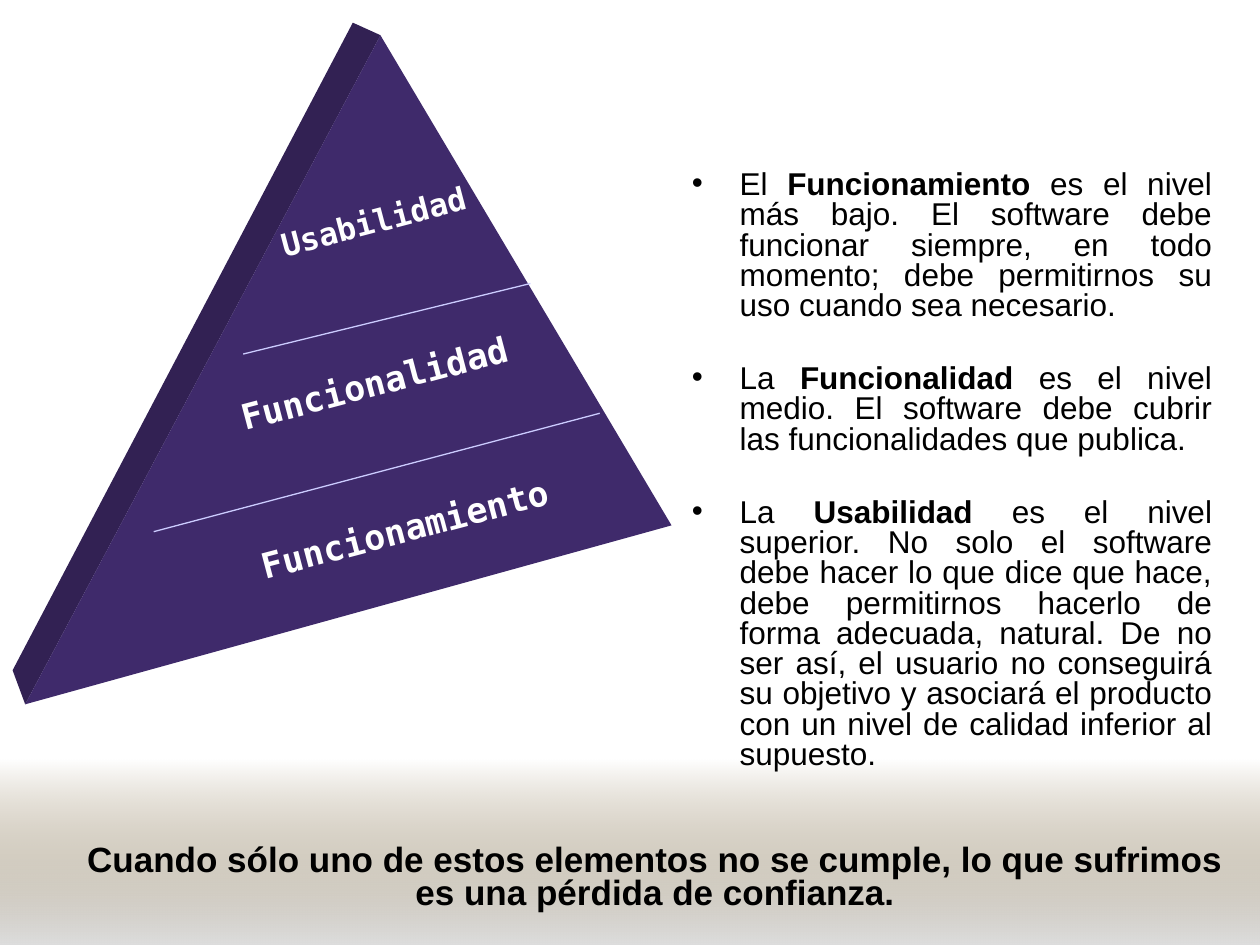
from lxml.etree import SubElement
from pptx import Presentation
from pptx.dml.color import RGBColor
from pptx.enum.shapes import MSO_CONNECTOR as CONNECTOR, MSO_SHAPE as SHAPE
from pptx.enum.text import MSO_ANCHOR as ANCHOR, MSO_AUTO_SIZE as AUTO_SIZE, PP_ALIGN as ALIGN
from pptx.oxml.ns import qn
from pptx.util import Inches, Pt

COLORS = {
    "text": "000000", "label": "FFFFFF", "front": "3F2A6B", "side": "322153",
    "divider": "CCCCFF", "band_top": "765E2F", "band_bottom": "DDDDDD",
}
BODY_FONT, LABEL_FONT = "Arial", "DejaVu Sans Mono"

# Each bullet: text before, bold term, text after
BULLETS = [
    ("El ", "Funcionamiento", " es el nivel más bajo. El software debe funcionar siempre, "
     "en todo momento; debe permitirnos su uso cuando sea necesario."),
    ("La ", "Funcionalidad", " es el nivel medio. El software debe cubrir las "
     "funcionalidades que publica."),
    ("La ", "Usabilidad", " es el nivel superior. No solo el software debe hacer lo que dice "
     "que hace, debe permitirnos hacerlo de forma adecuada, natural. De no ser así, el usuario "
     "no conseguirá su objetivo y asociará el producto con un nivel de calidad inferior al "
     "supuesto."),
]
CONCLUSION = ("Cuando sólo uno de estos elementos no se cumple, lo que sufrimos "
              "es una pérdida de confianza.")

# Pyramid geometry, in inches
APEX, RIGHT, LEFT = (3.02, 0.28), (5.33, 4.17), (0.2, 5.59)
BACK_APEX, BACK_LEFT = (2.8, 0.18), (0.1, 5.32)
FACES = [("side", [BACK_APEX, APEX, LEFT, BACK_LEFT]), ("front", [APEX, RIGHT, LEFT])]
DIVIDERS = [((1.22, 4.22), (4.76, 3.28)), ((1.93, 2.81), (4.21, 2.25))]
LABELS = [  # text, left, top, height, size
    ("Funcionamiento", 1.93, 3.91, 0.43, 20),
    ("Funcionalidad", 1.77, 2.73, 0.43, 20),
    ("Usabilidad", 2.09, 1.38, 0.4, 18),
]
LABEL_WIDTH, LABEL_ANGLE = 3.07, 345.2


def rgb(name):
    return RGBColor.from_string(COLORS[name])


def add_span(para, text, font, size, color, bold=False):
    span = para.add_run()
    span.text = text
    span.font.name, span.font.size, span.font.bold = font, Pt(size), bold
    span.font.color.rgb = rgb(color)


def add_box(slide, left, top, width, height):
    box = slide.shapes.add_textbox(*map(Inches, (left, top, width, height)))
    box.text_frame.word_wrap = True
    return box, box.text_frame.paragraphs[0]


def add_bullet(para):
    props = para._p.get_or_add_pPr()
    props.set("marL", str(Inches(0.38)))
    props.set("indent", str(-Inches(0.38)))
    SubElement(props, qn("a:buFont"), typeface=BODY_FONT)
    SubElement(props, qn("a:buChar"), char="•")


def add_band(slide):
    band = slide.shapes.add_shape(SHAPE.RECTANGLE, 0, Inches(6.03), Inches(10), Inches(1.47))
    band.shadow.inherit = False
    band.line.fill.background()
    band.fill.gradient()
    band.fill.gradient_angle = 270
    for stop, name, position in zip(band.fill.gradient_stops, ("band_top", "band_bottom"), (0, 1)):
        stop.color.rgb = rgb(name)
        stop.position = position
    # The top colour is fully transparent
    top_color = band._element.spPr.find(".//" + qn("a:srgbClr"))
    SubElement(top_color, qn("a:alpha"), val="0")
    slide.shapes._spTree.insert(2, band._element)


def add_body(slide):
    body = slide.placeholders[1]
    body.left, body.top, body.width, body.height = map(Inches, (5.39, 1.31, 4.33, 3.78))
    frame = body.text_frame
    frame.auto_size, frame.vertical_anchor = AUTO_SIZE.NONE, ANCHOR.TOP
    for index, (before, term, after) in enumerate(BULLETS):
        para = frame.add_paragraph() if index else frame.paragraphs[0]
        para.alignment, para.line_spacing = ALIGN.JUSTIFY, 0.8
        para.space_before = Pt(24.5 if index else 0)
        add_bullet(para)
        for text in (before, term, after):
            add_span(para, text, BODY_FONT, 18, "text", text == term)


def add_pyramid(slide):
    for name, points in FACES:
        corners = [(Inches(x), Inches(y)) for x, y in points]
        builder = slide.shapes.build_freeform(*corners[0])
        builder.add_line_segments(corners[1:], close=True)
        face = builder.convert_to_shape()
        face.shadow.inherit = False
        face.fill.solid()
        face.fill.fore_color.rgb = rgb(name)
        face.line.fill.background()
    for start, end in DIVIDERS:
        divider = slide.shapes.add_connector(CONNECTOR.STRAIGHT, *map(Inches, start + end))
        divider.line.color.rgb, divider.line.width = rgb("divider"), Pt(0.75)
        SubElement(divider._element.spPr, qn("a:effectLst"))
    for text, left, top, height, size in LABELS:
        box, para = add_box(slide, left, top, LABEL_WIDTH, height)
        box.rotation = LABEL_ANGLE
        add_span(para, text, LABEL_FONT, size, "label", True)


def main():
    deck = Presentation()
    deck.slide_width, deck.slide_height = Inches(10), Inches(7.5)
    slide = deck.slides.add_slide(deck.slide_layouts[1])
    title = slide.shapes.title._element
    title.getparent().remove(title)

    add_band(slide)
    add_body(slide)
    add_pyramid(slide)

    # Conclusion over the band
    _, para = add_box(slide, 0.52, 6.66, 9.36, 0.64)
    para.alignment, para.line_spacing = ALIGN.CENTER, 0.8
    add_span(para, CONCLUSION, BODY_FONT, 20, "text", True)
    deck.save("out.pptx")


if __name__ == "__main__":
    main()
